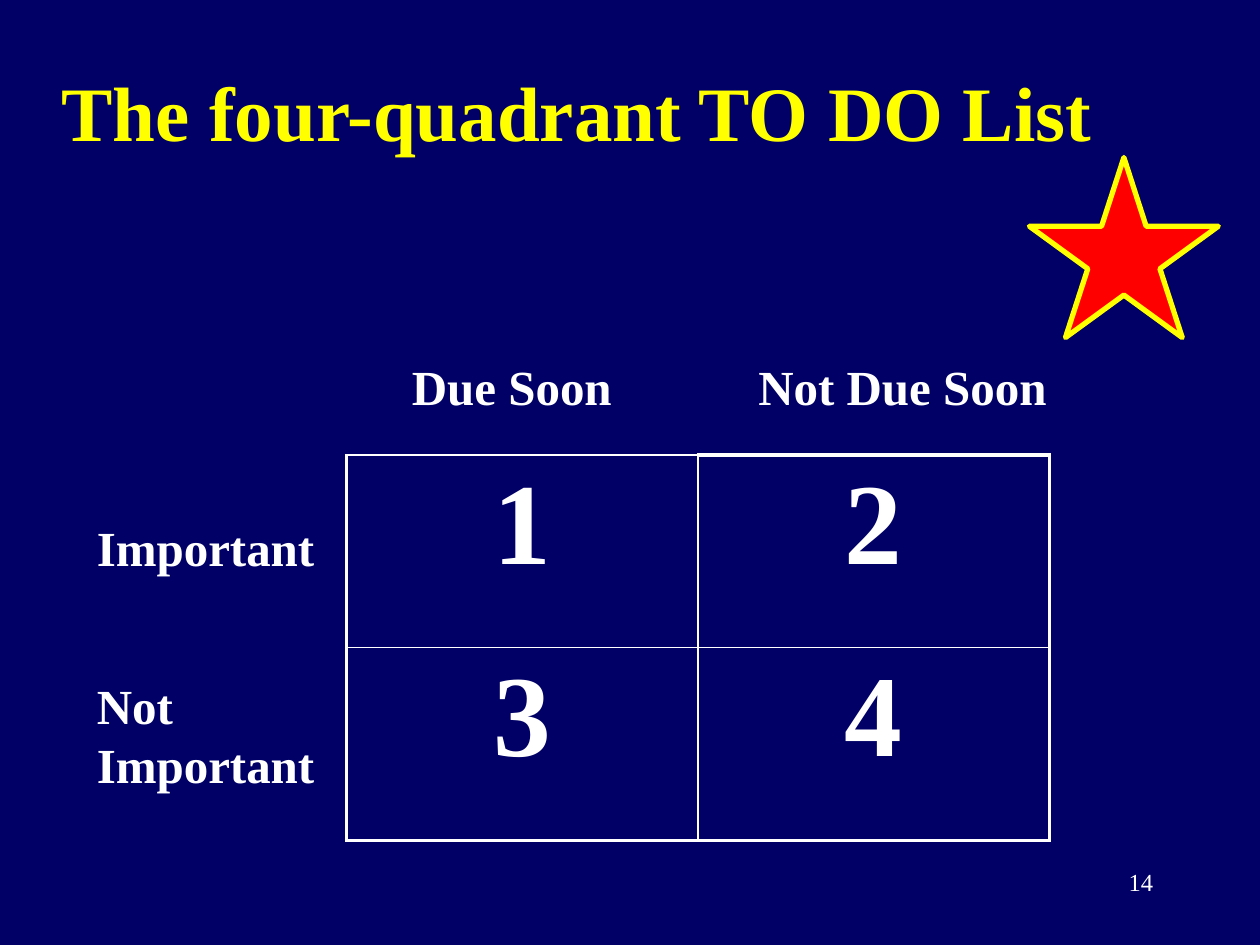
"""Build the four-quadrant to-do list slide."""
from lxml import etree
from pptx import Presentation
from pptx.dml.color import RGBColor
from pptx.enum.shapes import MSO_SHAPE
from pptx.enum.text import MSO_ANCHOR, PP_ALIGN
from pptx.oxml.ns import qn
from pptx.util import Inches, Pt

NAVY = RGBColor(0x00, 0x00, 0x66)
WHITE = RGBColor(0xFF, 0xFF, 0xFF)
YELLOW = RGBColor(0xFF, 0xFF, 0x00)
RED = RGBColor(0xFF, 0x00, 0x00)
LEFT, CENTER, RIGHT = PP_ALIGN.LEFT, PP_ALIGN.CENTER, PP_ALIGN.RIGHT
MIDDLE = MSO_ANCHOR.MIDDLE
STAR = MSO_SHAPE.STAR_5_POINT
FONT = "Times New Roman"
OUTER, INNER = 2.25, 1

TITLE = "The four-quadrant TO DO List"
QUADRANTS = [["1", "2"], ["3", "4"]]
LABELS = [
    (["Important"], (0.67, 4.06, 1.93, 0.57)),
    (["Not", "Important"], (0.67, 5.31, 1.93, 1.03)),
    (["Due Soon"], (3.17, 2.78, 1.92, 0.57)),
    (["Not Due Soon"], (5.92, 2.78, 2.49, 0.57)),
]
PAGE_NUMBER = (["14"], (7.17, 6.83, 2.08, 0.5))
TITLE_BOX = (0.33, 0.25, 8.5, 1.25)
GRID_BOX = (2.75, 3.61, 5.58, 3.06)
STAR_BOX = (8.17, 1.25, 1.5, 1.43)


def inches(box):
    return [Inches(value) for value in box]


def write(frame, lines, size, color=WHITE, bold=True, align=LEFT):
    frame.text = "\n".join(lines)
    for paragraph in frame.paragraphs:
        paragraph.alignment = align
        font = paragraph.font
        font.name, font.size, font.bold = FONT, Pt(size), bold
        font.color.rgb = color


def add_label(slide, lines, box, size=28, **style):
    frame = slide.shapes.add_textbox(*inches(box)).text_frame
    frame.word_wrap = True
    write(frame, lines, size, **style)


def add_border(cell, side, width):
    properties = cell._tc.get_or_add_tcPr()
    line = etree.SubElement(properties, qn(f"a:ln{side}"), w=str(Pt(width)))
    fill = etree.SubElement(line, qn("a:solidFill"))
    etree.SubElement(fill, qn("a:srgbClr"), val=str(WHITE))


def add_quadrants(slide):
    rows, columns = len(QUADRANTS), len(QUADRANTS[0])
    grid = slide.shapes.add_table(rows, columns, *inches(GRID_BOX)).table
    grid.first_row = grid.horz_banding = False
    for r, numbers in enumerate(QUADRANTS):
        for c, number in enumerate(numbers):
            cell = grid.cell(r, c)
            widths = {
                "L": OUTER if c == 0 else INNER,
                "R": OUTER if c == columns - 1 else INNER,
                "T": OUTER if r == 0 and c > 0 else INNER,
                "B": OUTER if r == rows - 1 else INNER,
            }
            for side, width in widths.items():
                add_border(cell, side, width)
            cell.fill.background()
            write(cell.text_frame, [number], 66, align=CENTER)


def add_star(slide):
    star = slide.shapes.add_shape(STAR, *inches(STAR_BOX))
    star.shadow.inherit = False
    star.fill.solid()
    star.fill.fore_color.rgb = RED
    star.line.color.rgb = YELLOW
    star.line.width = Pt(3)


def main():
    deck = Presentation()
    deck.slide_width, deck.slide_height = Inches(10), Inches(7.5)
    slide = deck.slides.add_slide(deck.slide_layouts[5])
    slide.background.fill.solid()
    slide.background.fill.fore_color.rgb = NAVY

    title = slide.shapes.title
    title.left, title.top, title.width, title.height = inches(TITLE_BOX)
    title.text_frame.vertical_anchor = MIDDLE
    write(title.text_frame, [TITLE], 44, color=YELLOW, align=CENTER)

    add_label(slide, *PAGE_NUMBER, size=14, bold=False, align=RIGHT)
    add_quadrants(slide)
    for lines, box in LABELS:
        add_label(slide, lines, box)
    add_star(slide)
    deck.save("out.pptx")


if __name__ == "__main__":
    main()
